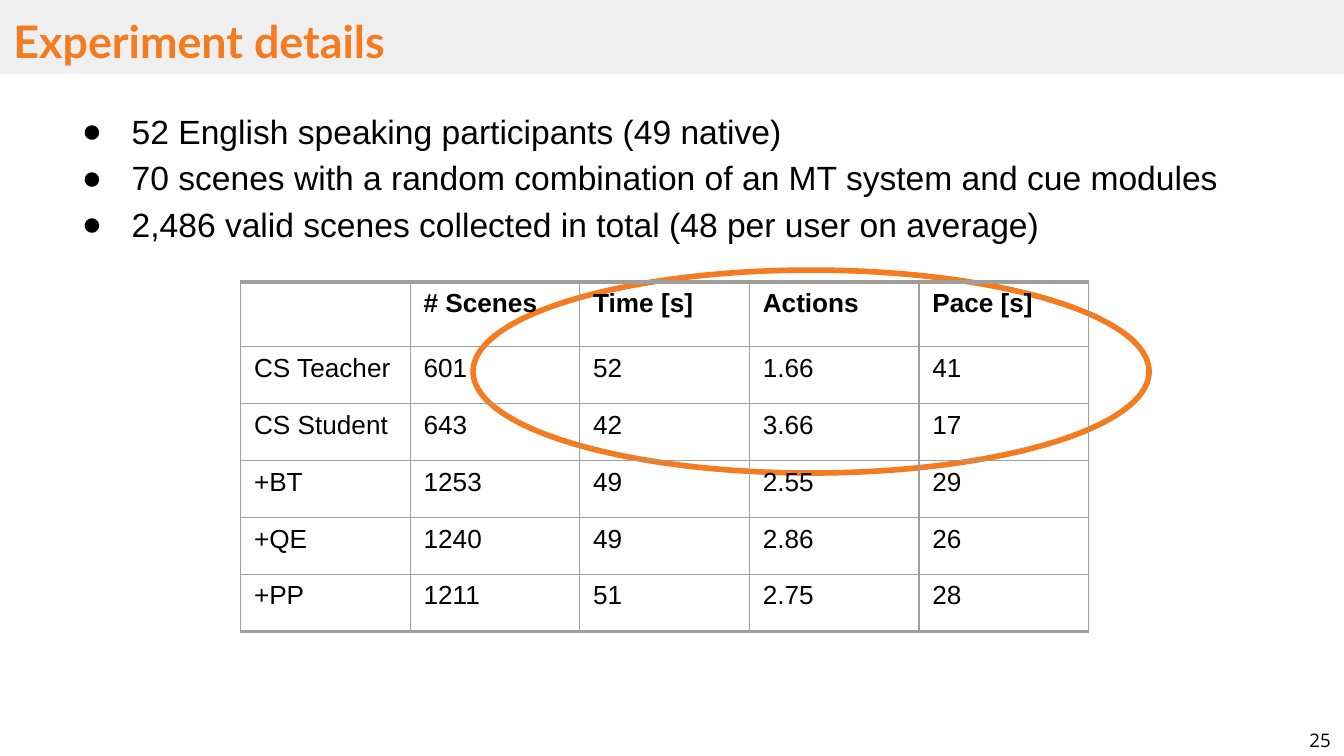
from lxml.etree import SubElement
from pptx import Presentation
from pptx.dml.color import RGBColor
from pptx.enum.shapes import MSO_SHAPE as SHAPE
from pptx.enum.text import MSO_ANCHOR as ANCHOR, MSO_AUTO_SIZE as AUTO, PP_ALIGN as ALIGN
from pptx.oxml.ns import qn
from pptx.util import Inches, Pt

# Content
TITLE = "Experiment details"
BULLETS = [
    "52 English speaking participants (49 native)",
    "70 scenes with a random combination of an MT system and cue modules",
    "2,486 valid scenes collected in total (48 per user on average)",
]
TABLE = [
    ("", "# Scenes", "Time [s]", "Actions", "Pace [s]"),
    ("CS Teacher", "601", "52", "1.66", "41"),
    ("CS Student", "643", "42", "3.66", "17"),
    ("+BT", "1253", "49", "2.55", "29"),
    ("+QE", "1240", "49", "2.86", "26"),
    ("+PP", "1211", "51", "2.75", "28"),
]
PAGE = "25"

# Layout (inches, a 16:9 slide) and style
WIDTH = 10
HEIGHT = WIDTH * 9 / 16
TITLE_BOX = (0, 0, WIDTH, 0.55)
BODY_BOX = (0.38, 0.68, 9.32, 3.36)
PAGE_BOX = (WIDTH - 0.6, HEIGHT - 0.24, 0.6, 0.24)
RING_BOX = (3.52, 2.01, 5.03, 1.51)
TABLE_BOX = (1.79, 2.1, 6.31, 2.6)
HEAD_ROW = 0.48
ORANGE, BLACK, BAND, GRID = "F47B20", "000000", "EFEFEF", "9E9E9E"
THIN, THICK = 0.75, 2.21


def rgb(color):
    return RGBColor.from_string(color)


def box(lengths):
    return [Inches(n) for n in lengths]


def place(s, lengths):
    s.left, s.top, s.width, s.height = box(lengths)


def write(p, text, size=18, font="Arial", color=BLACK, bold=False, align=ALIGN.LEFT):
    p.alignment = align
    r = p.add_run()
    r.text = text
    r.font.size, r.font.name, r.font.bold = Pt(size), font, bold
    r.font.color.rgb = rgb(color)


def setup_frame(s, inset, anchor=ANCHOR.TOP):
    tf = s.text_frame
    tf.word_wrap, tf.auto_size, tf.vertical_anchor = True, AUTO.NONE, anchor
    tf.margin_left = tf.margin_right = Inches(0.1)
    tf.margin_top = tf.margin_bottom = Inches(inset)
    return tf


def add_bullet(p, char="●"):
    pPr = p._p.get_or_add_pPr()
    pPr.set("marL", str(Inches(0.5)))
    pPr.set("indent", str(Inches(-0.37)))
    SubElement(SubElement(pPr, qn("a:buClr")), qn("a:srgbClr"), val=BLACK)
    SubElement(pPr, qn("a:buFont"), typeface="Arial")
    SubElement(pPr, qn("a:buChar"), char=char)


def set_borders(cell, **widths):
    tcPr = cell._tc.get_or_add_tcPr()
    for side, width in widths.items():
        ln = SubElement(tcPr, qn(f"a:ln{side}"), w=str(Pt(width)))
        SubElement(SubElement(ln, qn("a:solidFill")), qn("a:srgbClr"), val=GRID)


prs = Presentation()
prs.slide_width, prs.slide_height = Inches(WIDTH), Inches(HEIGHT)
slide = prs.slides.add_slide(prs.slide_layouts[1])
title, body = slide.placeholders

# Title band
place(title, TITLE_BOX)
title.fill.solid()
title.fill.fore_color.rgb = rgb(BAND)
write(setup_frame(title, 0.1).paragraphs[0], TITLE, size=24, font="Lato",
      color=ORANGE, bold=True)

# Bullet list
place(body, BODY_BOX)
tf = setup_frame(body, 0.1)
for i, text in enumerate(BULLETS):
    p = tf.add_paragraph() if i else tf.paragraphs[0]
    p.line_spacing, p.space_before = 1.15, Pt(0)
    add_bullet(p)
    write(p, text)

# Page number
number = slide.shapes.add_textbox(*box(PAGE_BOX))
write(setup_frame(number, 0.05, ANCHOR.MIDDLE).paragraphs[0], PAGE, size=10,
      font="Open Sans", align=ALIGN.RIGHT)

# Ring behind the highlighted rows
ring = slide.shapes.add_shape(SHAPE.OVAL, *box(RING_BOX))
ring.shadow.inherit = False
ring.fill.background()
ring.line.color.rgb, ring.line.width = rgb(ORANGE), Pt(3)

# Results table
last = len(TABLE) - 1
table = slide.shapes.add_table(len(TABLE), len(TABLE[0]), *box(TABLE_BOX)).table
table.first_row = table.horz_banding = False
for i, values in enumerate(TABLE):
    table.rows[i].height = Inches((TABLE_BOX[3] - HEAD_ROW) / last if i else HEAD_ROW)
    for cell, value in zip(table.rows[i].cells, values):
        set_borders(cell, L=THIN, R=THIN, T=THIN if i else THICK,
                    B=THICK if i == last else THIN)
        cell.fill.background()
        if value:
            write(cell.text_frame.paragraphs[0], value, size=14, bold=i == 0)

prs.save("out.pptx")
